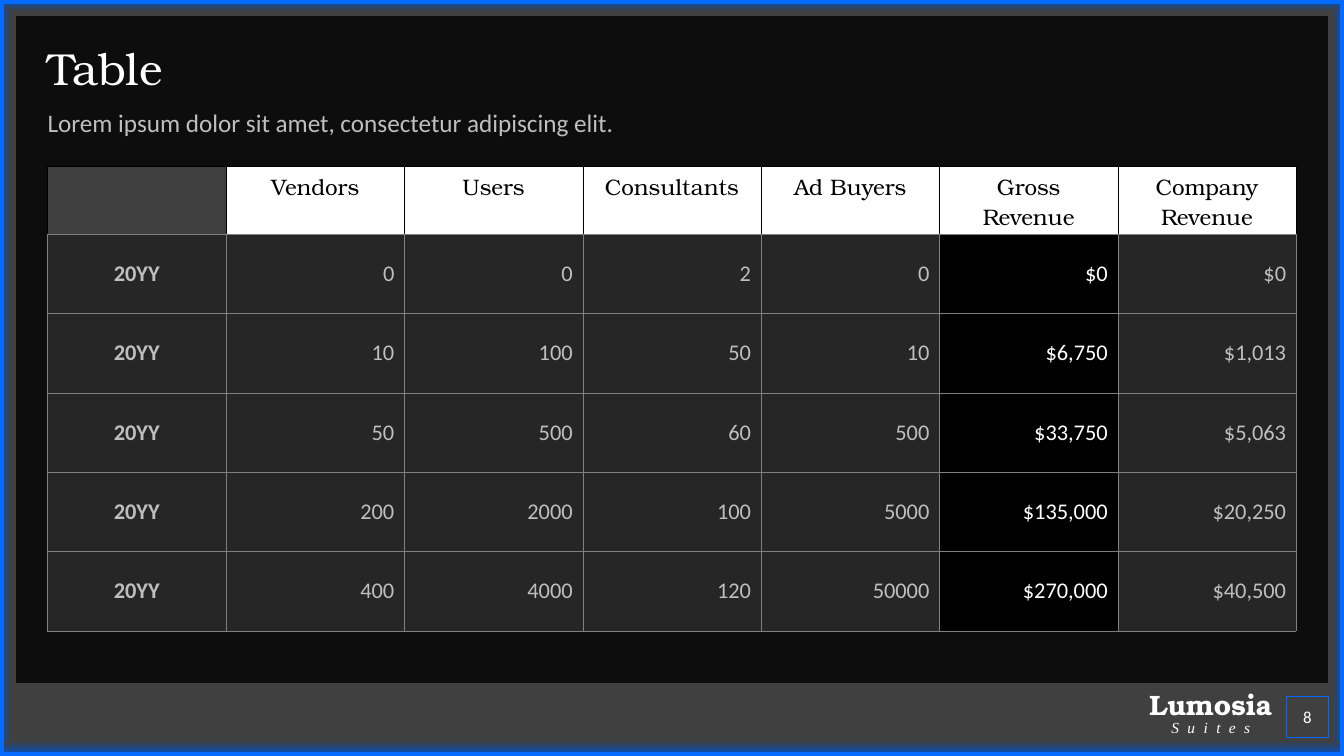
from pptx import Presentation
from pptx.dml.color import RGBColor as RGB
from pptx.enum.shapes import MSO_SHAPE as SHAPE
from pptx.enum.text import MSO_ANCHOR as ANCHOR, PP_ALIGN as ALIGN
from pptx.oxml import parse_xml
from pptx.oxml.ns import nsdecls
from pptx.util import Cm, Pt

HUE = {k: RGB.from_string(v) for k, v in {
    "back": "0D0D0D", "deep": "004FC3", "gray": "404040", "blue": "056AFF",
    "white": "FFFFFF", "black": "000000", "pale": "BFBFBF", "cell": "262626",
    "rule": "808080"}.items()}
SERIF, SANS = "TeX Gyre Bonum", "Calibri"
WIDE, HIGH = 33.87, 19.05


def style(font, face, size, hue, bold=False):
    font.name, font.size, font.bold = face, Pt(size), bold
    font.color.rgb = HUE[hue]


def write(frame, text, face, size, hue, anchor=ANCHOR.MIDDLE):
    frame.margin_left = frame.margin_right = 0
    frame.margin_top = frame.margin_bottom = 0
    frame.word_wrap = True
    frame.vertical_anchor = anchor
    para = frame.paragraphs[0]
    para.text = text
    style(para.font, face, size, hue)
    return para


deck = Presentation()
deck.slide_width, deck.slide_height = Cm(WIDE), Cm(HIGH)
slide = deck.slides.add_slide(deck.slide_layouts[6])
slide.background.fill.solid()
slide.background.fill.fore_color.rgb = HUE["back"]
shapes = slide.shapes

bars = [
    (0, 17.2, WIDE, 1.85, 0.21, 90),
    (0, 0, WIDE, 0.4, 0.72, 270),
    (0, 0.25, 0.4, 18.42, 0.72, 0),
    (WIDE - 0.4, 0.25, 0.4, 18.42, 0.72, 180),
]
for left, top, width, height, end, angle in bars:
    bar = shapes.add_shape(SHAPE.RECTANGLE, Cm(left), Cm(top), Cm(width), Cm(height))
    bar.shadow.inherit = False
    bar.line.fill.background()
    bar.fill.gradient()
    bar.fill.gradient_angle = angle
    for stop, hue, spot in zip(bar.fill.gradient_stops, ("deep", "gray"), (0, end)):
        stop.color.rgb = HUE[hue]
        stop.position = spot

edge = shapes.add_shape(SHAPE.FRAME, 0, 0, Cm(WIDE), Cm(HIGH))
edge.adjustments[0] = 0.1 / HIGH
edge.shadow.inherit = False
edge.line.fill.background()
edge.fill.solid()
edge.fill.fore_color.rgb = HUE["blue"]

brand = shapes.add_textbox(Cm(28.32), Cm(17.37), Cm(4.39), Cm(1.19))
para = write(brand.text_frame, "", SERIF, 20, "white", ANCHOR.TOP)
brand.text_frame.margin_top = Cm(0.41)
para.alignment = ALIGN.CENTER
para.line_spacing = Pt(11)
name = para.add_run()
name.text = "Lumosia"
style(name.font, SERIF, 20, "white", True)
para.add_line_break()
kind = para.add_run()
kind.text = "Suites"
style(kind.font, "Times New Roman", 11, "white")
kind.font.italic = True
kind.font._element.set("spc", "600")

lead = shapes.add_textbox(Cm(1.2), Cm(2.79), Cm(31.5), Cm(0.99))
para = write(lead.text_frame, "Lorem ipsum dolor sit amet, consectetur adipiscing elit.",
             SANS, 18, "pale", ANCHOR.TOP)
para.line_spacing = 0.9
para.space_before = Pt(10)

page = shapes.add_shape(SHAPE.RECTANGLE, Cm(32.43), Cm(17.55), Cm(1.04), Cm(1.03))
page.shadow.inherit = False
page.fill.background()
page.line.color.rgb = HUE["blue"]
page.line.width = Pt(0.75)
write(page.text_frame, "8", SANS, 12, "white").alignment = ALIGN.CENTER

title = shapes.add_textbox(Cm(1.2), Cm(1.2), Cm(31.5), Cm(1.2))
write(title.text_frame, "Table", SERIF, 32, "white").line_spacing = 0.9

rows = [
    ["", "Vendors", "Users", "Consultants", "Ad Buyers", "Gross Revenue", "Company Revenue"],
    ["20YY", "0", "0", "2", "0", "$0", "$0"],
    ["20YY", "10", "100", "50", "10", "$6,750", "$1,013"],
    ["20YY", "50", "500", "60", "500", "$33,750", "$5,063"],
    ["20YY", "200", "2000", "100", "5000", "$135,000", "$20,250"],
    ["20YY", "400", "4000", "120", "50000", "$270,000", "$40,500"],
]
table = shapes.add_table(len(rows), len(rows[0]), Cm(1.2), Cm(4.19), Cm(31.47), Cm(11.71)).table
table.horz_banding = False
for r, row in enumerate(rows):
    head = r == 0
    table.rows[r].height = Cm(1.71 if head else 2)
    for c, text in enumerate(row):
        cell = table.cell(r, c)
        gross = c == 5
        if head:
            fill, hue = "white" if c else "gray", "black"
        else:
            fill, hue = ("black", "white") if gross else ("cell", "pale")
            cell.vertical_anchor = ANCHOR.MIDDLE
        cell.fill.solid()
        cell.fill.fore_color.rgb = HUE[fill]
        cell.text = text
        para = cell.text_frame.paragraphs[0]
        para.alignment = ALIGN.CENTER if head or c == 0 else ALIGN.RIGHT
        style(para.font, SERIF if head else SANS, 16, hue, not head and c == 0)
        props = cell._tc.get_or_add_tcPr()
        for i, side in enumerate("LRTB"):
            rule = HUE["black" if head and side != "B" else "rule"]
            props.insert(i, parse_xml(
                f'<a:ln{side} {nsdecls("a")} w="3175"><a:solidFill>'
                f'<a:srgbClr val="{rule}"/></a:solidFill></a:ln{side}>'))

deck.save("out.pptx")
